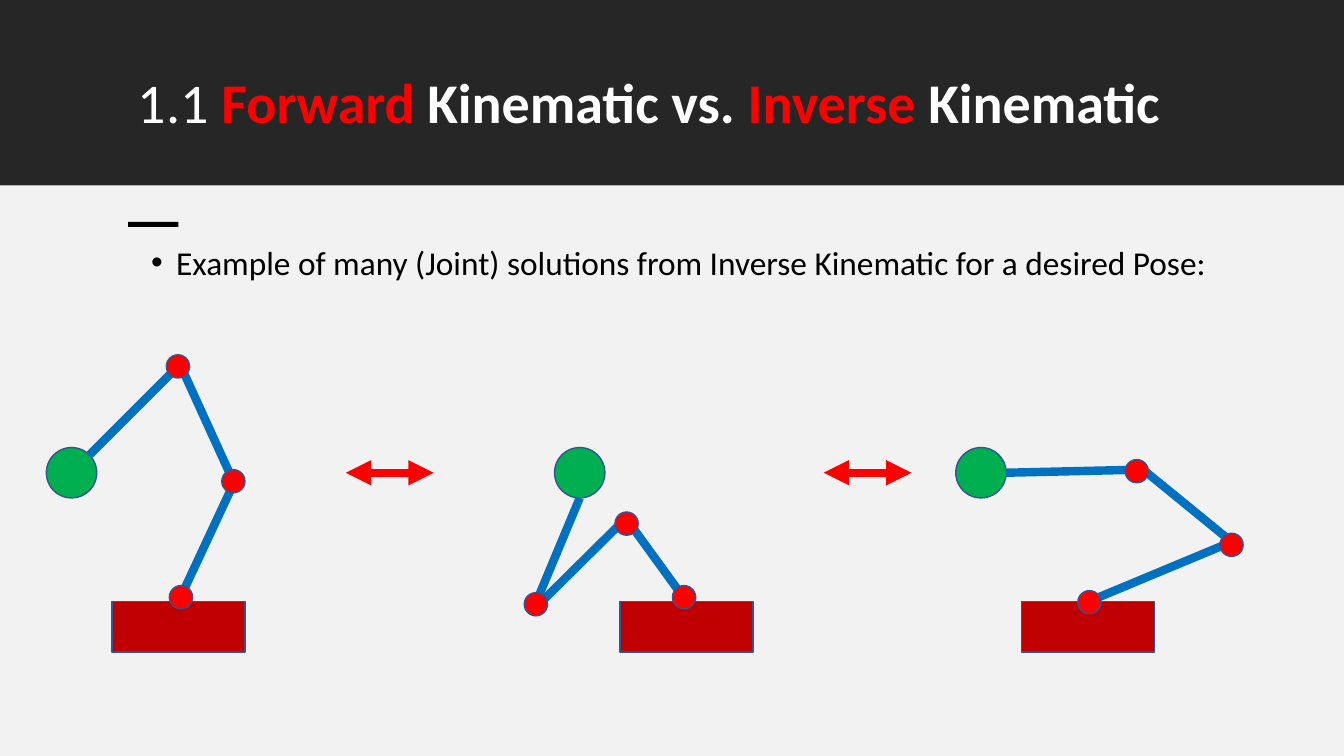
from lxml import etree
from pptx import Presentation
from pptx.dml.color import RGBColor
from pptx.enum.shapes import MSO_CONNECTOR, MSO_SHAPE
from pptx.enum.text import MSO_ANCHOR
from pptx.oxml.ns import qn
from pptx.util import Inches, Pt

WHITE, BLACK, RED = "FFFFFF", "000000", "FF0000"
DARK, PALE = "262626", "F2F2F2"
HAND_GREEN, BASE_RED, LINK_BLUE, OUTLINE = "00B050", "C00000", "0070C0", "325491"

HAND_TOP, HAND_SIZE = 4.44, 0.5
BASE_OFFSET, BASE_TOP, BASE_WIDTH, BASE_HEIGHT = 0.65, 5.97, 1.32, 0.5
JOINT_SIZE = 0.23

# Each arm: left edge of the hand, links (x1, y1, x2, y2), joints (left, top)
ARMS = [
    (0.46,
     [(0.89, 4.51, 1.82, 3.58), (2.33, 4.81, 1.77, 3.58), (1.77, 5.97, 2.33, 4.77)],
     [(1.65, 3.52), (2.2, 4.66), (1.68, 5.81)]),
    (5.5,
     [(5.27, 6.09, 5.75, 4.94), (5.29, 6.05, 6.22, 5.13), (6.81, 5.97, 6.2, 5.13)],
     [(5.2, 5.88), (6.1, 5.08), (6.67, 5.81)]),
    (9.48,
     [(9.98, 4.69, 11.29, 4.66), (12.27, 5.42, 11.29, 4.62), (10.79, 5.97, 12.23, 5.37)],
     [(11.16, 4.56), (12.1, 5.29), (10.69, 5.86)]),
]


def color(hex_code):
    return RGBColor.from_string(hex_code)


class SlideBuilder:
    font = "Calibri"

    def __init__(self, slide):
        self.slide = slide

    def shape(self, preset, left, top, width, height, fill, outline=None):
        shape = self.slide.shapes.add_shape(
            preset, Inches(left), Inches(top), Inches(width), Inches(height))
        shape.shadow.inherit = False
        shape.fill.solid()
        shape.fill.fore_color.rgb = color(fill)
        if outline:
            shape.line.color.rgb = color(outline)
            shape.line.width = Pt(1)
        else:
            shape.line.fill.background()

    def rect(self, *box, **style):
        self.shape(MSO_SHAPE.RECTANGLE, *box, **style)

    def circle(self, left, top, size, fill):
        self.shape(MSO_SHAPE.OVAL, left, top, size, size, fill, OUTLINE)

    def line(self, x1, y1, x2, y2, stroke, double_arrow=False):
        connector = self.slide.shapes.add_connector(
            MSO_CONNECTOR.STRAIGHT, Inches(x1), Inches(y1), Inches(x2), Inches(y2))
        connector.line.color.rgb = color(stroke)
        connector.line.width = Pt(6)
        if double_arrow:
            outline = connector.line._get_or_add_ln()
            for end in ("a:headEnd", "a:tailEnd"):
                etree.SubElement(outline, qn(end), type="triangle")
        etree.SubElement(connector._element.spPr, qn("a:effectLst"))

    def text(self, left, top, width, height, runs, size, spacing, bullet=False):
        """Add one paragraph; runs are (text, colour, bold)."""
        frame = self.slide.shapes.add_textbox(
            Inches(left), Inches(top), Inches(width), Inches(height)).text_frame
        frame.word_wrap = True
        frame.vertical_anchor = MSO_ANCHOR.TOP
        paragraph = frame.paragraphs[0]
        paragraph.line_spacing = spacing
        if bullet:
            properties = paragraph._p.get_or_add_pPr()
            properties.set("marL", str(Inches(0.25)))
            properties.set("indent", str(-Inches(0.25)))
            etree.SubElement(properties, qn("a:buFont"), typeface="Arial")
            etree.SubElement(properties, qn("a:buChar"), char="•")
        for words, ink, bold in runs:
            run = paragraph.add_run()
            run.text = words
            run.font.name = self.font
            run.font.size = Pt(size)
            run.font.bold = bold
            run.font.color.rgb = color(ink)

    def arm(self, hand_left, links, joints):
        self.circle(hand_left, HAND_TOP, HAND_SIZE, HAND_GREEN)
        self.rect(hand_left + BASE_OFFSET, BASE_TOP, BASE_WIDTH, BASE_HEIGHT,
                  fill=BASE_RED, outline=OUTLINE)
        for link in links:
            self.line(*link, LINK_BLUE)
        for left, top in joints:
            self.circle(left, top, JOINT_SIZE, RED)


def main():
    deck = Presentation()
    deck.slide_width, deck.slide_height = Inches(13.33), Inches(7.5)
    builder = SlideBuilder(deck.slides.add_slide(deck.slide_layouts[6]))

    builder.rect(0, -0.01, 13.33, 1.85, fill=DARK)
    builder.text(1.27, 0.7, 10.81, 0.98, [
        ("1.1 ", WHITE, False),
        ("Forward ", RED, True),
        ("Kinematic vs. ", WHITE, True),
        ("Inverse ", RED, True),
        ("Kinematic", WHITE, True),
    ], size=40, spacing=0.9)
    builder.rect(0, 1.85, 13.33, 5.65, fill=PALE)
    builder.rect(1.27, 2.2, 0.5, 0.05, fill=BLACK)
    builder.text(1.4, 2.43, 11.5, 0.65, [
        ("Example of many (Joint) solutions from Inverse Kinematic for a desired Pose:",
         BLACK, False),
    ], size=23.8, spacing=0.8, bullet=True)

    for arrow_left in (3.43, 8.17):
        builder.line(arrow_left, 4.69, arrow_left + 0.87, 4.69, RED, double_arrow=True)
    for arm in ARMS:
        builder.arm(*arm)

    deck.save("out.pptx")


if __name__ == "__main__":
    main()
